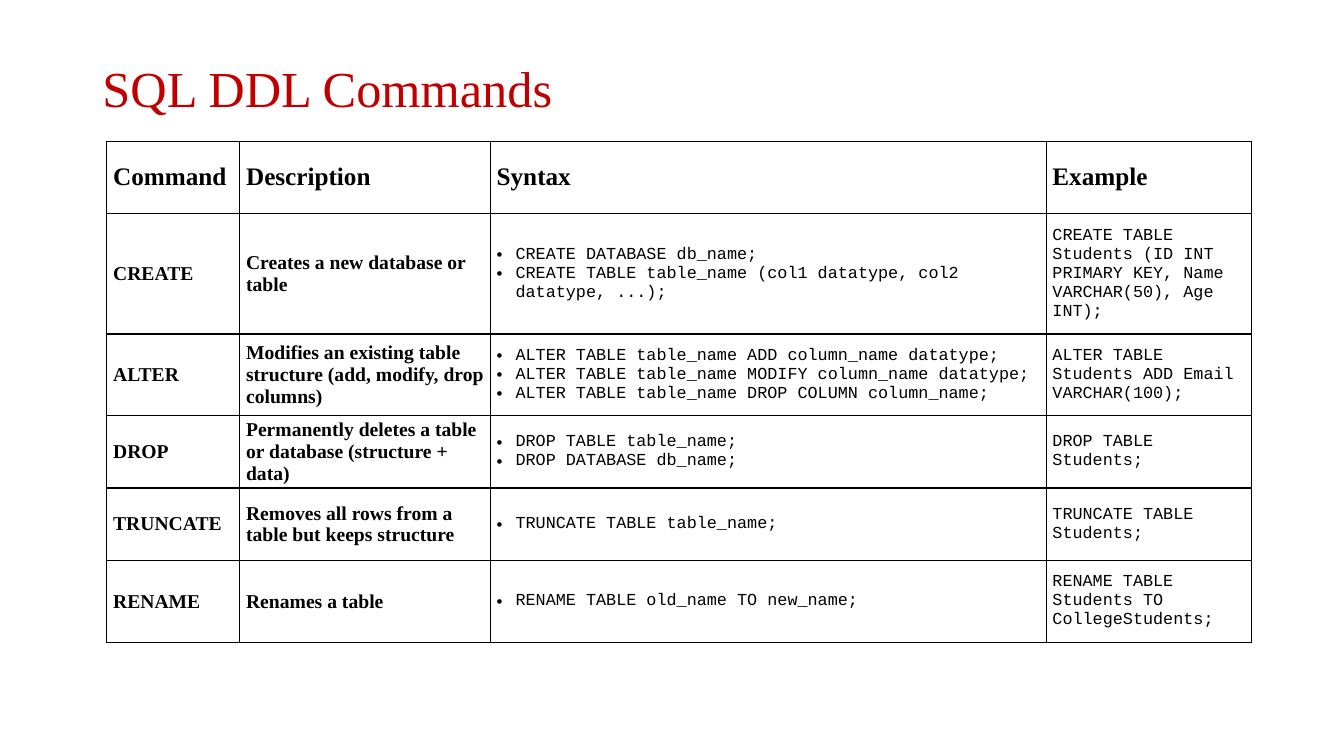
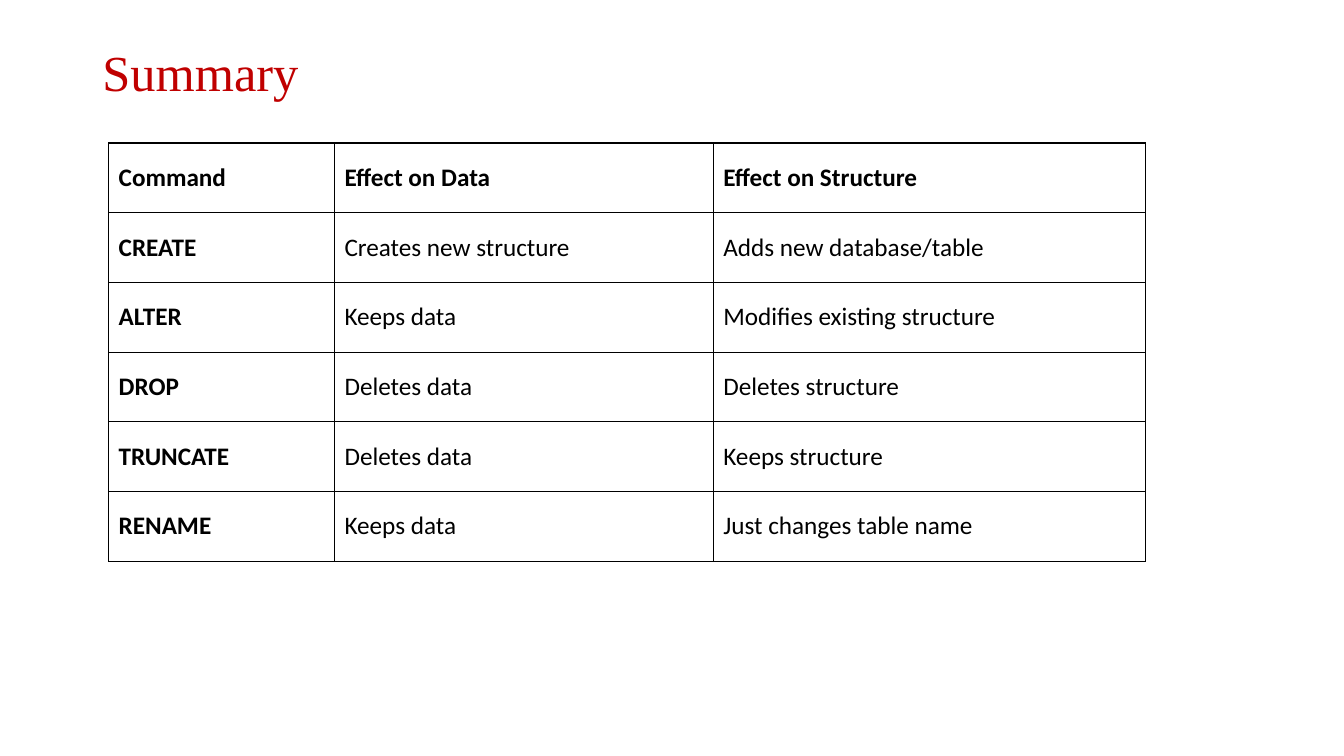
"""Build two slides on SQL DDL commands: a reference table and a summary."""
from lxml import etree
from pptx import Presentation
from pptx.dml.color import RGBColor
from pptx.enum.text import MSO_ANCHOR as Anchor, MSO_AUTO_SIZE as Fit, PP_ALIGN as Align
from pptx.oxml import parse_xml
from pptx.oxml.ns import nsdecls, qn
from pptx.util import Pt

RED, BLACK, WHITE = "C00000", "000000", "FFFFFF"
SERIF, SANS, MONO = "Times New Roman", "Calibri", "Courier New"
color = RGBColor.from_string


def put(frame, text, font=SERIF, size=18, tint=BLACK, bold=False, dots=False, lead=None):
    frame.word_wrap = True
    for i, line in enumerate(text.split("\n")):
        para = frame.add_paragraph() if i else frame.paragraphs[0]
        para.alignment = Align.LEFT
        if lead:
            para.line_spacing = lead
        if dots:
            props = para._p.get_or_add_pPr()
            props.set("marL", str(Pt(13.5)))
            props.set("indent", str(-Pt(13.5)))
            etree.SubElement(props, qn("a:buFont")).set("typeface", "Arial")
            etree.SubElement(props, qn("a:buChar")).set("char", "•")
        run = para.add_run()
        run.text = line
        run.font.name, run.font.size, run.font.bold = font, Pt(size), bold
        run.font.color.rgb = color(tint)


def frame_cell(cell):
    props = cell._tc.get_or_add_tcPr()
    for side in ("lnL", "lnR", "lnT", "lnB"):
        props.append(parse_xml(
            f'<a:{side} {nsdecls("a")} w="{Pt(1)}"><a:solidFill>'
            f'<a:srgbClr val="{BLACK}"/></a:solidFill></a:{side}>'))
    cell.fill.solid()
    cell.fill.fore_color.rgb = color(WHITE)
    cell.vertical_anchor = Anchor.MIDDLE


head = dict(bold=True)
label = dict(size=14, bold=True)
code = dict(font=MONO, size=12)
plain = dict(font=SANS)
strong = dict(font=SANS, bold=True)

pages = [
    dict(
        title="SQL DDL Commands", high=72, left=76.3, top=100.8, pad=(4.5, 2.25),
        cols=[95, 179, 397, 146.7], rows=[51.8, 86, 58.3, 51.8, 51.8, 58.3],
        head=[head] * 4, body=[label, label, dict(code, dots=True), code],
        cells=[
            ("Command", "Description", "Syntax", "Example"),
            ("CREATE", "Creates a new database or table",
             "CREATE DATABASE db_name;\n"
             "CREATE TABLE table_name (col1 datatype, col2 datatype, ...);",
             "CREATE TABLE Students (ID INT PRIMARY KEY, Name VARCHAR(50), Age INT);"),
            ("ALTER", "Modifies an existing table structure (add, modify, drop columns)",
             "ALTER TABLE table_name ADD column_name datatype;\n"
             "ALTER TABLE table_name MODIFY column_name datatype;\n"
             "ALTER TABLE table_name DROP COLUMN column_name;",
             "ALTER TABLE Students ADD Email VARCHAR(100);"),
            ("DROP", "Permanently deletes a table or database (structure + data)",
             "DROP TABLE table_name;\nDROP DATABASE db_name;",
             "DROP TABLE Students;"),
            ("TRUNCATE", "Removes all rows from a table but keeps structure",
             "TRUNCATE TABLE table_name;", "TRUNCATE TABLE Students;"),
            ("RENAME", "Renames a table",
             "RENAME TABLE old_name TO new_name;",
             "RENAME TABLE Students TO CollegeStudents;"),
        ]),
    dict(
        title="Summary", high=50.4, left=77.6, top=102.2, pad=(7.2, 3.6),
        cols=[161.3, 270.6, 308.9], rows=[49.8] * 6,
        head=[strong] * 3, body=[strong, plain, plain],
        cells=[
            ("Command", "Effect on Data", "Effect on Structure"),
            ("CREATE", "Creates new structure", "Adds new database/table"),
            ("ALTER", "Keeps data", "Modifies existing structure"),
            ("DROP", "Deletes data", "Deletes structure"),
            ("TRUNCATE", "Deletes data", "Keeps structure"),
            ("RENAME", "Keeps data", "Just changes table name"),
        ]),
]

deck = Presentation()
deck.slide_width, deck.slide_height = Pt(960), Pt(540)

for page in pages:
    slide = deck.slides.add_slide(deck.slide_layouts[5])
    title = slide.shapes.title
    title.left, title.top, title.width, title.height = Pt(66), Pt(28.8), Pt(828), Pt(page["high"])
    title.text_frame.auto_size = Fit.NONE
    title.text_frame.vertical_anchor = Anchor.MIDDLE
    put(title.text_frame, page["title"], size=36, tint=RED, lead=0.9)

    cols, rows = page["cols"], page["rows"]
    table = slide.shapes.add_table(
        len(rows), len(cols), Pt(page["left"]), Pt(page["top"]),
        Pt(sum(cols)), Pt(sum(rows))).table
    table.first_row = table.horz_banding = False
    for col, width in zip(table.columns, cols):
        col.width = Pt(width)
    for row, height in zip(table.rows, rows):
        row.height = Pt(height)

    side, edge = page["pad"]
    for r, texts in enumerate(page["cells"]):
        styles = page["body"] if r else page["head"]
        for c, (text, style) in enumerate(zip(texts, styles)):
            cell = table.cell(r, c)
            frame_cell(cell)
            cell.margin_left = cell.margin_right = Pt(side)
            cell.margin_top = cell.margin_bottom = Pt(edge)
            put(cell.text_frame, text, **style)

deck.save("out.pptx")
